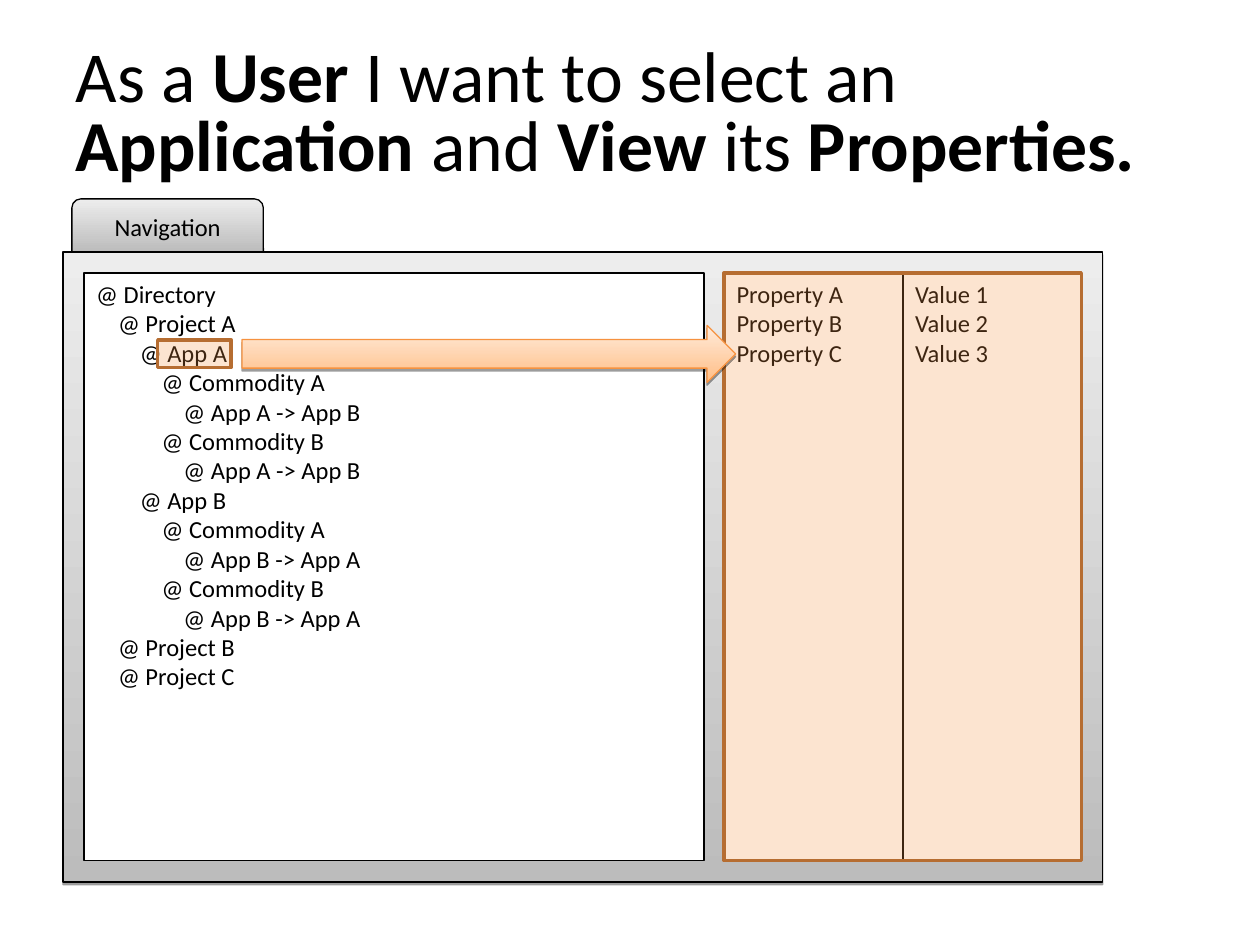
"""Build a slide on selecting an application and viewing its properties."""
from lxml.etree import SubElement as Sub
from pptx import Presentation
from pptx.dml.color import RGBColor
from pptx.enum.shapes import MSO_SHAPE as Kind
from pptx.enum.text import MSO_ANCHOR as Anchor, MSO_AUTO_SIZE as Fit, PP_ALIGN as Align
from pptx.oxml.ns import qn
from pptx.util import Cm, Pt

rgb = RGBColor.from_string


def box(kind, left, top, wide, high, fill, line="000000", width=1, alpha=None, shade=False):
    """Add a shape; a pair of fills runs from bottom to top."""
    form = slide.shapes.add_shape(kind, Cm(left), Cm(top), Cm(wide), Cm(high))
    form.shadow.inherit = False
    if isinstance(fill, tuple):
        form.fill.gradient()
        form.fill.gradient_angle = 90
        for stop, hue in zip(form.fill.gradient_stops, fill):
            stop.color.rgb = rgb(hue)
    else:
        form.fill.solid()
        form.fill.fore_color.rgb = rgb(fill)
    form.line.color.rgb = rgb(line)
    form.line.width = Pt(width)
    props = form._element.spPr
    if alpha:
        tint = props.find(qn("a:solidFill")).find(qn("a:srgbClr"))
        Sub(tint, qn("a:alpha"), val=str(alpha * 1000))
    if shade:
        cast = Sub(props.find(qn("a:effectLst")), qn("a:outerShdw"), blurRad="0",
                   dist=str(Pt(1.6)), dir="5400000", rotWithShape="0")
        hue = Sub(cast, qn("a:srgbClr"), val="000000")
        Sub(hue, qn("a:alpha"), val="38000")
    return form


def write(frame, text, size=14, bold=False, new=True, level=0, align=Align.LEFT, anchor=Anchor.TOP):
    """Add text to a frame, in a new paragraph or at the end of the last."""
    frame.word_wrap = True
    frame.vertical_anchor = anchor
    para = frame.paragraphs[-1]
    if new and para.runs:
        para = frame.add_paragraph()
    para.alignment = align
    if level:
        para._p.get_or_add_pPr().set("marL", str(Cm(0.44 * level)))
    run = para.add_run()
    run.text = text
    run.font.name = "Calibri"
    run.font.size = Pt(size)
    run.font.bold = bold
    run.font.color.rgb = rgb("000000")


deck = Presentation()
deck.slide_width, deck.slide_height = Cm(25.4), Cm(19.05)
slide = deck.slides.add_slide(deck.slide_layouts[5])

title = slide.shapes.title
title.left, title.top, title.width, title.height = Cm(1.27), Cm(0.76), Cm(22.86), Cm(3.18)
frame = title.text_frame
frame.auto_size = Fit.NONE
parts = ["As a ", "User", " I want to select an ", "Application", " and ", "View", " its ", "Properties."]
for num, part in enumerate(parts):
    write(frame, part, size=41, bold=num % 2 == 1, new=False, anchor=Anchor.MIDDLE)
frame.paragraphs[0].line_spacing = 0.8

gray = ("BCBCBC", "EDEDED")
tab = box(Kind.ROUND_2_SAME_RECTANGLE, 1.45, 4.01, 3.86, 1.07, gray, width=0.75, shade=True)
write(tab.text_frame, "Navigation", align=Align.CENTER, anchor=Anchor.MIDDLE)
box(Kind.RECTANGLE, 1.27, 5.08, 20.96, 12.7, gray, width=0.75, shade=True)

top, high = 5.5, 11.85
tree = [
    (0, "Directory"),
    (1, "Project A"),
    (2, "App A"),
    (3, "Commodity A"),
    (4, "App A -> App B"),
    (3, "Commodity B"),
    (4, "App A -> App B"),
    (2, "App B"),
    (3, "Commodity A"),
    (4, "App B -> App A"),
    (3, "Commodity B"),
    (4, "App B -> App A"),
    (1, "Project B"),
    (1, "Project C"),
]
pane = box(Kind.RECTANGLE, 1.69, top, 12.5, high, "FFFFFF")
for level, name in tree:
    write(pane.text_frame, "@ " + name, level=level)

left, wide = 14.6, 3.6
for col, (word, marks) in enumerate([("Property", "ABC"), ("Value", "123")]):
    pane = box(Kind.RECTANGLE, left + col * wide, top, wide, high, "FFFFFF")
    for mark in marks:
        write(pane.text_frame, f"{word} {mark}")

for area in [(3.18, 6.85, 1.48, 0.56), (left, top, 2 * wide, high)]:
    box(Kind.RECTANGLE, *area, "F79646", line="B66D31", width=2, alpha=25)
box(Kind.RIGHT_ARROW, 4.88, 6.56, 9.95, 1.15, ("FFBE86", "FFEBDB"), line="F69240", width=0.75, shade=True)

deck.save("out.pptx")
